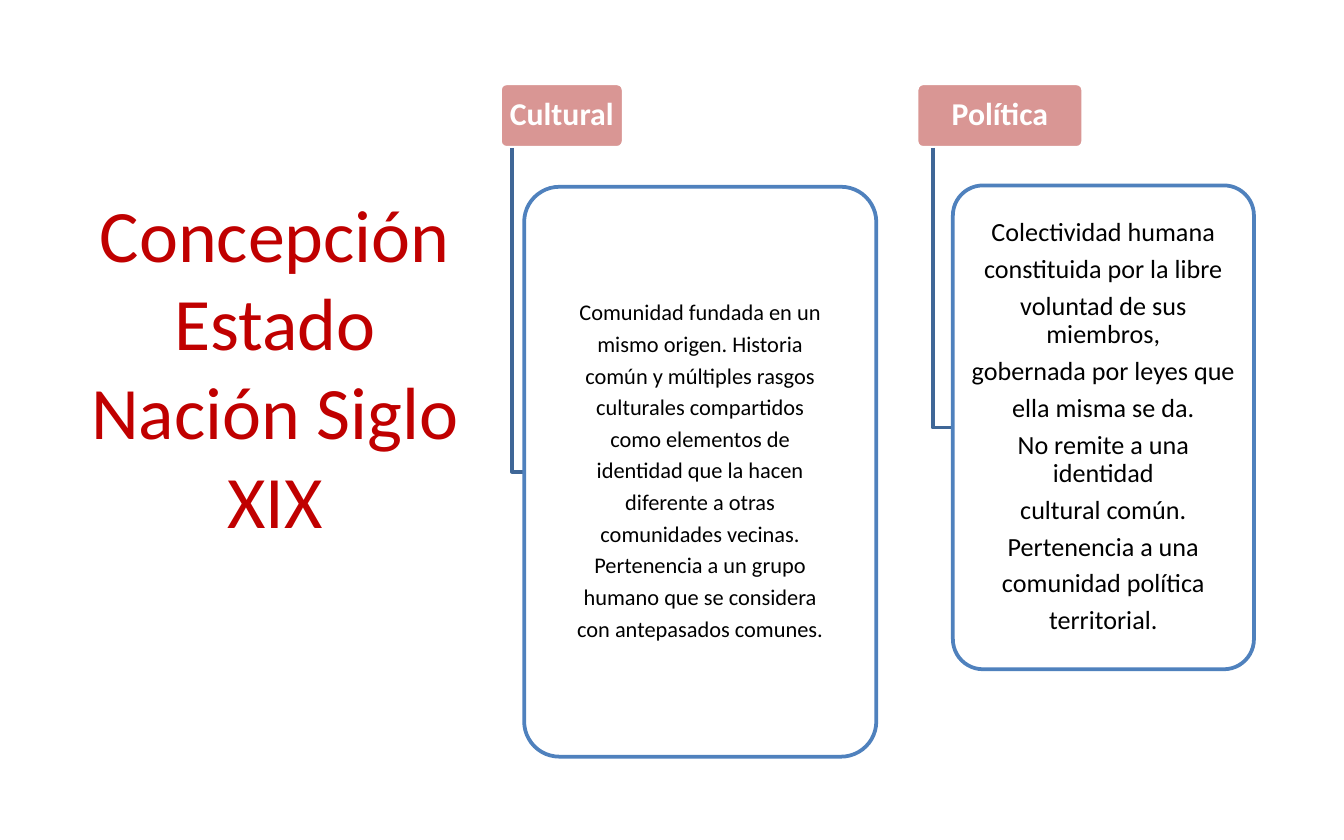
from dataclasses import dataclass

from pptx import Presentation
from pptx.dml.color import RGBColor
from pptx.enum.shapes import MSO_SHAPE
from pptx.enum.text import MSO_ANCHOR, PP_ALIGN
from pptx.util import Inches, Pt

FONT = "Calibri"
HEADING_TOP, HEADING_HEIGHT = 0.62, 0.48


@dataclass
class Box:
    left: float
    top: float
    width: float
    height: float


@dataclass
class Concept:
    heading: str
    heading_left: float
    heading_width: float
    stem_x: float
    card: Box
    lines: list[str]
    size: float


CONCEPTS = [
    Concept("Cultural", 3.72, 0.92, 3.81, Box(3.9, 1.39, 2.62, 4.24), [
        "Comunidad fundada en un",
        "mismo origen. Historia",
        "común y múltiples rasgos",
        "culturales compartidos",
        "como elementos de",
        "identidad que la hacen",
        "diferente a otras",
        "comunidades vecinas.",
        "Pertenencia a un grupo",
        "humano que se considera",
        "con antepasados comunes.",
    ], 12),
    Concept("Política", 6.82, 1.24, 6.94, Box(7.09, 1.38, 2.24, 3.6), [
        "Colectividad humana",
        "constituida por la libre",
        "voluntad de sus miembros,",
        "gobernada por leyes que",
        "ella misma se da.",
        "No remite a una identidad",
        "cultural común.",
        "Pertenencia a una",
        "comunidad política",
        "territorial.",
    ], 14),
]


def color(value: str) -> RGBColor:
    return RGBColor.from_string(value)


def write(shape, lines: list[str], size: float, ink: str, bold: bool = False) -> None:
    frame = shape.text_frame
    frame.word_wrap = True
    frame.vertical_anchor = MSO_ANCHOR.MIDDLE
    frame.text = "\n".join(lines)
    for paragraph in frame.paragraphs:
        paragraph.alignment = PP_ALIGN.CENTER
        for run in paragraph.runs:
            run.font.name = FONT
            run.font.size = Pt(size)
            run.font.bold = bold
            run.font.color.rgb = color(ink)


def outline(shape, ink: str) -> None:
    shape.shadow.inherit = False
    shape.line.color.rgb = color(ink)
    shape.line.width = Pt(2)


def add_panel(slide, box: Box, fill: str, border: str, lines: list[str],
              size: float, ink: str, side_inset: float, bold: bool = False) -> None:
    panel = slide.shapes.add_shape(
        MSO_SHAPE.ROUNDED_RECTANGLE, Inches(box.left), Inches(box.top),
        Inches(box.width), Inches(box.height))
    panel.adjustments[0] = 0.1
    panel.fill.solid()
    panel.fill.fore_color.rgb = color(fill)
    outline(panel, border)
    write(panel, lines, size, ink, bold)
    frame = panel.text_frame
    frame.margin_left = frame.margin_right = Inches(side_inset)
    frame.margin_top = frame.margin_bottom = Inches(0.02)
    for paragraph in frame.paragraphs:
        paragraph.line_spacing = 0.9
        paragraph.space_after = Pt(round(size * 0.33, 1))


def add_elbow(slide, x: float, top: float, card: Box) -> None:
    middle = card.top + card.height / 2
    builder = slide.shapes.build_freeform(Inches(x), Inches(top))
    builder.add_line_segments(
        [(Inches(x), Inches(middle)), (Inches(card.left), Inches(middle))], close=False)
    elbow = builder.convert_to_shape()
    elbow.fill.background()
    outline(elbow, "3F6797")


def add_concept(slide, concept: Concept) -> None:
    heading = Box(concept.heading_left, HEADING_TOP, concept.heading_width, HEADING_HEIGHT)
    add_panel(slide, heading, "D99694", "FFFFFF", [concept.heading], 17, "FFFFFF", 0.04, True)
    add_elbow(slide, concept.stem_x, HEADING_TOP + HEADING_HEIGHT, concept.card)
    add_panel(slide, concept.card, "FFFFFF", "4F81BD", concept.lines, concept.size, "000000", 0.03)


def main() -> None:
    presentation = Presentation()
    presentation.slide_width, presentation.slide_height = Inches(10), Inches(6.25)
    slide = presentation.slides.add_slide(presentation.slide_layouts[6])

    # Title
    title = slide.shapes.add_textbox(Inches(0.38), Inches(2.2), Inches(3.33), Inches(1.04))
    write(title, ["Concepción Estado Nación Siglo XIX"], 39.6, "C00000")

    # The two conceptions, each a heading with its card
    for concept in CONCEPTS:
        add_concept(slide, concept)

    presentation.save("out.pptx")


if __name__ == "__main__":
    main()
